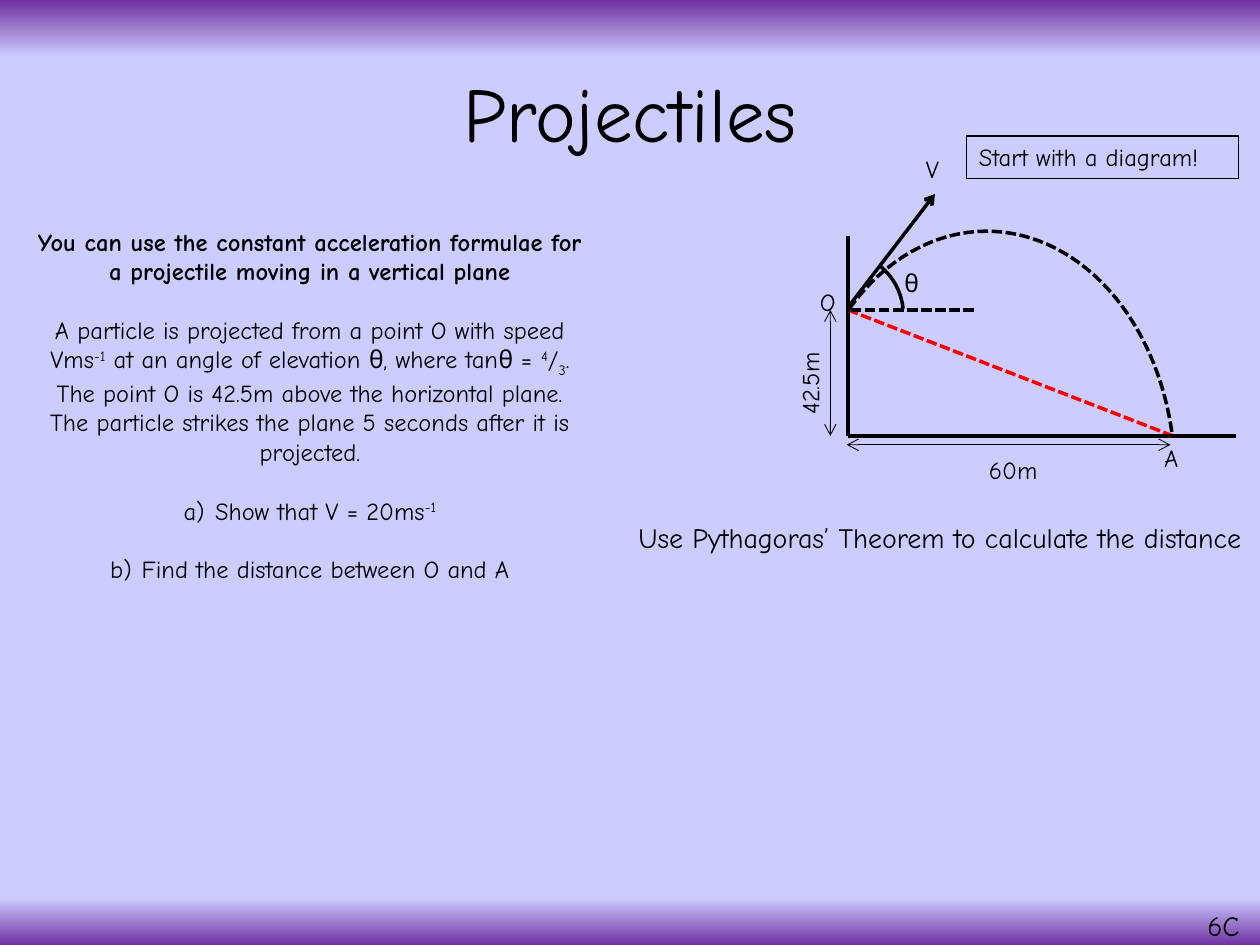
import pptx
import pptx.dml.color
import pptx.enum.dml
import pptx.enum.shapes
import pptx.enum.text
import pptx.oxml
import pptx.oxml.ns
import pptx.util
from pptx.util import Inches

RGBColor = pptx.dml.color.RGBColor
BLACK = RGBColor(0x00, 0x00, 0x00)
RED = RGBColor(0xFF, 0x00, 0x00)
PURPLE = RGBColor(0x70, 0x30, 0xA0)
LAVENDER = RGBColor(0xCC, 0xCC, 0xFF)

ALIGN = pptx.enum.text.PP_ALIGN
AUTO_SIZE = pptx.enum.text.MSO_AUTO_SIZE
SHAPE = pptx.enum.shapes.MSO_SHAPE
DASH = pptx.enum.dml.MSO_LINE.SQUARE_DOT


def add_element(parent, tag, **attributes):
    child = pptx.oxml.parse_xml(f"<{tag} {pptx.oxml.ns.nsdecls('a')}/>")
    for name, value in attributes.items():
        child.set(name, str(value))
    parent.append(child)
    return child


class SlideBuilder:
    font = "Comic Neue"
    text_size = 14
    line_width = 2

    def __init__(self, presentation):
        self.slide = presentation.slides.add_slide(presentation.slide_layouts[1])

    def background(self, stops):
        """Fill the background from top to bottom with (percent, colour) stops."""
        fill = self.slide.background.fill
        fill.gradient()
        fill.gradient_angle = 270
        stop_list = fill.gradient_stops[0]._gs.getparent()
        for stop in list(stop_list):
            stop_list.remove(stop)
        for percent, colour in stops:
            stop = add_element(stop_list, "a:gs", pos=percent * 1000)
            add_element(stop, "a:srgbClr", val=colour)

    def format_run(self, run, size=None, bold=False, baseline=0):
        run.font.name = self.font
        run.font.size = pptx.util.Pt(size or self.text_size)
        run.font.color.rgb = BLACK
        run.font.bold = bold
        if baseline:
            run._r.get_or_add_rPr().set("baseline", str(baseline * 1000))

    def place(self, shape, left, top, width, height):
        shape.left, shape.top = Inches(left), Inches(top)
        shape.width, shape.height = Inches(width), Inches(height)

    def title(self, text, *box):
        shape = self.slide.shapes.title
        self.place(shape, *box)
        shape.text_frame.text = text
        shape.text_frame.vertical_anchor = pptx.enum.text.MSO_ANCHOR.MIDDLE
        paragraph = shape.text_frame.paragraphs[0]
        paragraph.alignment = ALIGN.CENTER
        paragraph.line_spacing = 0.9
        self.format_run(paragraph.runs[0], size=44)

    def body(self, paragraphs, *box):
        """Fill the body with (lettered, bold, [(text, baseline), ...]) paragraphs."""
        shape = self.slide.placeholders[1]
        self.place(shape, *box)
        frame = shape.text_frame
        frame.auto_size = AUTO_SIZE.NONE
        for index, (lettered, bold, pieces) in enumerate(paragraphs):
            paragraph = frame.add_paragraph() if index else frame.paragraphs[0]
            properties = paragraph._p.get_or_add_pPr()
            indent = Inches(0.25) if lettered else 0
            properties.set("marL", str(indent))
            properties.set("indent", str(-indent))
            if lettered:
                add_element(properties, "a:buFontTx")
                add_element(properties, "a:buAutoNum", type="alphaLcParenR")
            else:
                add_element(properties, "a:buNone")
            paragraph.alignment = ALIGN.CENTER
            paragraph.space_before = pptx.util.Pt(16.8 if index else 0)
            for text, baseline in pieces:
                run = paragraph.add_run()
                run.text = text
                self.format_run(run, bold=bold, baseline=baseline)

    def text(self, text, left, top, width, height=0.34, size=None,
             wrap=False, align=ALIGN.LEFT, rotation=0, border=False):
        shape = self.slide.shapes.add_textbox(
            Inches(left), Inches(top), Inches(width), Inches(height))
        shape.rotation = rotation
        frame = shape.text_frame
        frame.text = text
        frame.word_wrap = wrap
        frame.auto_size = AUTO_SIZE.NONE if wrap else AUTO_SIZE.SHAPE_TO_FIT_TEXT
        frame.paragraphs[0].alignment = align
        self.format_run(frame.paragraphs[0].runs[0], size=size)
        if border:
            shape.line.color.rgb = BLACK
            shape.line.width = pptx.util.Pt(0.75)
        return shape

    def stroke(self, line, colour, width, dashed):
        line.color.rgb = colour
        line.width = pptx.util.Pt(width or self.line_width)
        if dashed:
            line.dash_style = DASH

    def line(self, start, end, colour=BLACK, width=None, dashed=False,
             head=False, tail=False):
        connector = self.slide.shapes.add_connector(
            pptx.enum.shapes.MSO_CONNECTOR.STRAIGHT,
            *(Inches(value) for value in start + end))
        self.stroke(connector.line, colour, width, dashed)
        outline = connector.line._get_or_add_ln()
        if head:
            add_element(outline, "a:headEnd", type="arrow")
        if tail:
            add_element(outline, "a:tailEnd", type="arrow")
        add_element(connector._element.spPr, "a:effectLst")

    def arc(self, left, top, width, height, angles, rotation=0, dashed=False):
        """Draw an arc between two angles in degrees, clockwise from the right."""
        shape = self.slide.shapes.add_shape(
            SHAPE.ARC, Inches(left), Inches(top), Inches(width), Inches(height))
        shape.rotation = rotation
        shape.shadow.inherit = False
        shape.fill.background()
        for index, angle in enumerate(angles):
            shape.adjustments[index] = angle * 0.6
        self.stroke(shape.line, BLACK, None, dashed)


def draw_diagram(builder):
    wall, ground, launch = 6.73, 3.46, 2.46
    landing = 9.31
    builder.line((wall, launch), (landing, ground), RED, dashed=True)
    builder.line((7.73, launch), (wall, launch), dashed=True)
    builder.arc(5.88, 2.29, 3.9, 2.99, (320.7, 77.3), rotation=270, dashed=True)
    builder.arc(6.17, 2, 1, 1, (310.41, 354.47))
    builder.line((wall, 2.44), (7.42, 1.54), tail=True)
    builder.line((wall, ground), (wall, 1.87))
    builder.line((wall, ground), (9.81, ground))
    for start, end in (((6.59, launch), (6.59, ground)),
                       ((9.29, 3.53), (6.72, 3.53))):
        builder.line(start, end, width=0.5, head=True, tail=True)
    for label, left, top, width in (("V", 7.25, 1.17, 0.33), ("θ", 7.08, 2.08, 0.33),
                                    ("O", 6.41, 2.23, 0.36), ("A", 9.14, 3.47, 0.36),
                                    ("60m", 7.75, 3.56, 0.59)):
        builder.text(label, left, top, width)
    builder.text("42.5m", 6.05, 2.84, 0.76, rotation=270)


def main():
    presentation = pptx.Presentation()
    presentation.slide_width, presentation.slide_height = Inches(10), Inches(7.5)
    builder = SlideBuilder(presentation)
    builder.background([(0, PURPLE), (6, LAVENDER), (95, LAVENDER), (100, PURPLE)])
    builder.title("Projectiles", 0.69, 0.21, 8.62, 1.45)
    builder.body([
        (False, True, [("You can use the constant acceleration formulae for "
                        "a projectile moving in a vertical plane", 0)]),
        (False, False, [
            ("A particle is projected from a point O with speed Vms", 0), ("-1", 30),
            (" at an angle of elevation θ, where tanθ = ", 0),
            ("4", 30), ("/", 0), ("3", -25),
            (". The point O is 42.5m above the horizontal plane. The particle "
             "strikes the plane 5 seconds after it is projected.", 0)]),
        (True, False, [("Show that V = 20ms", 0), ("-1", 30)]),
        (True, False, [("Find the distance between O and A", 0)]),
    ], 0.17, 1.75, 4.58, 5.17)
    draw_diagram(builder)
    builder.text("Start with a diagram!", 7.67, 1.08, 2.16, border=True)
    builder.text("Use Pythagoras’ Theorem to calculate the distance",
                 4.92, 4.08, 5.08, 0.64, size=16, wrap=True, align=ALIGN.CENTER)
    builder.text("6C", 9.42, 7.16, 0.58, size=16, wrap=True, align=ALIGN.CENTER)
    presentation.save("out.pptx")


if __name__ == "__main__":
    main()
